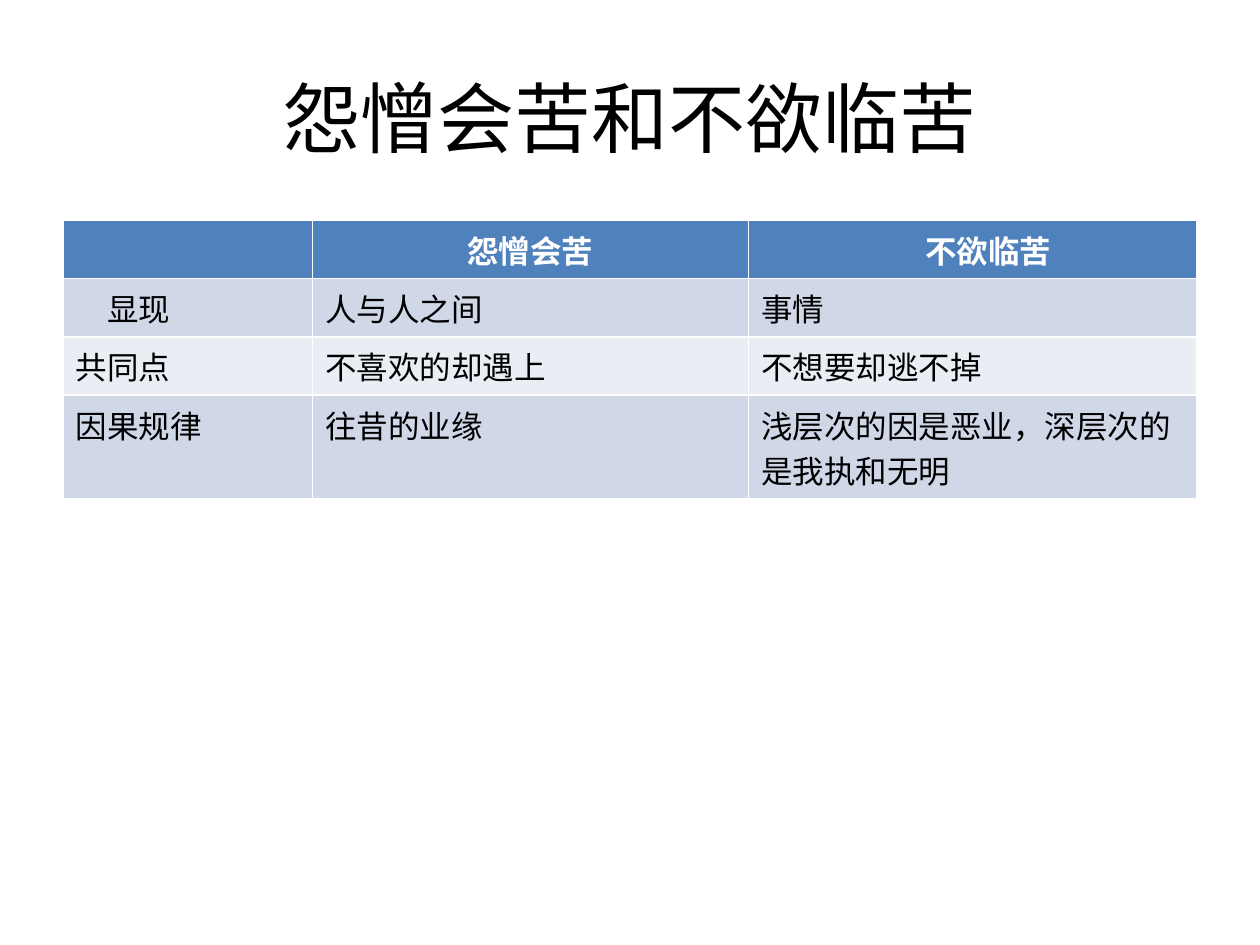
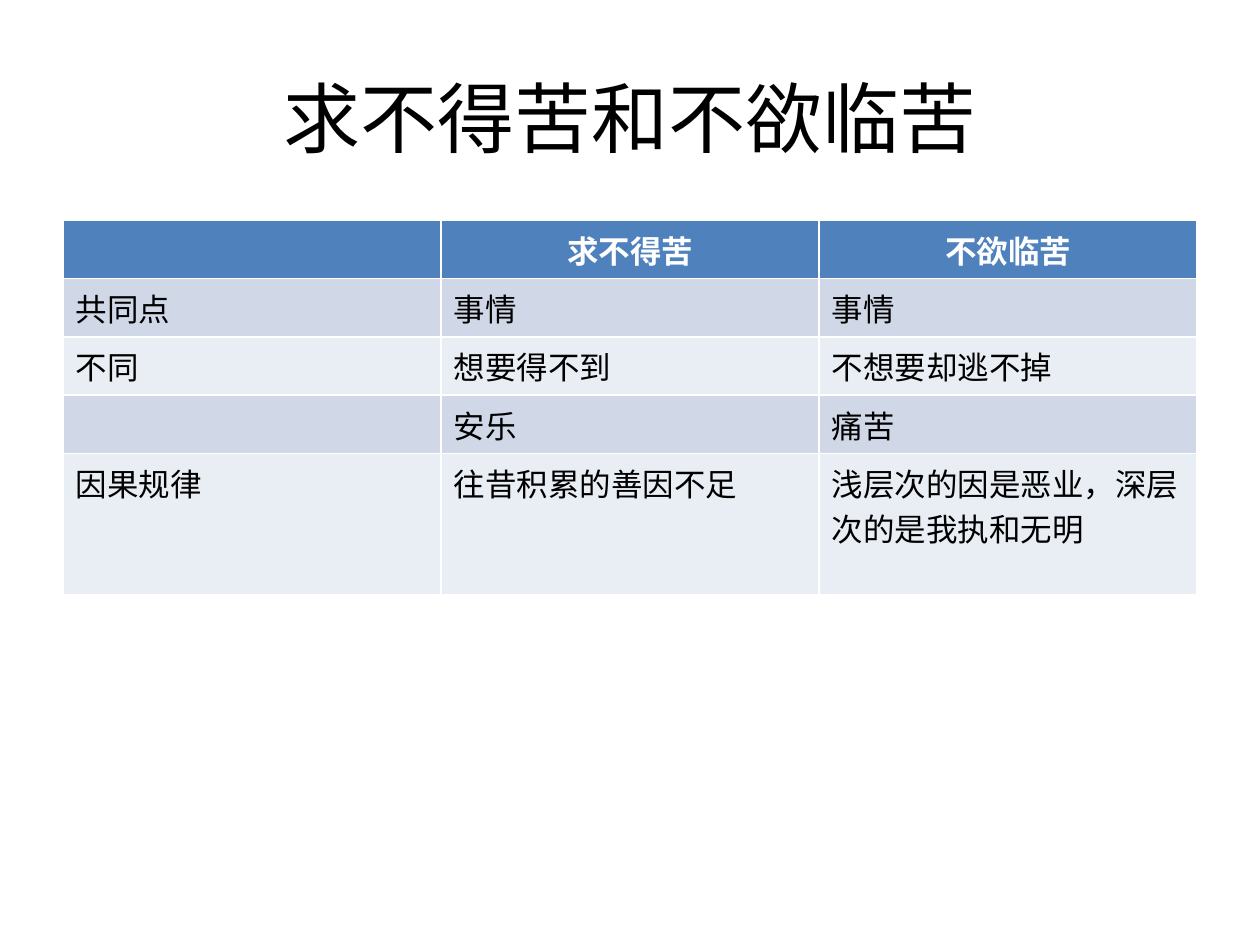
from dataclasses import dataclass

from pptx import Presentation
from pptx.dml.color import RGBColor
from pptx.enum.text import MSO_ANCHOR, PP_ALIGN
from pptx.slide import Slide
from pptx.table import _Cell
from pptx.text.text import _Paragraph
from pptx.util import Inches, Pt

FONT = "Calibri"
COLOURS = {
    "text": "000000",
    "header_text": "FFFFFF",
    "header": "4F81BD",
    "odd_band": "D0D8E8",
    "even_band": "E9EDF4",
}
LEFT, TABLE_TOP, WIDTH = 0.5, 1.75, 9
ROW_HEIGHT = 0.41
INDENT = Inches(0.25)


@dataclass(frozen=True)
class Comparison:
    title: str
    column_widths: tuple[float, ...]
    last_row_height: float
    rows: tuple[tuple[str, ...], ...]
    indented: tuple[tuple[int, int], ...] = ()


DEEP_CAUSE = "浅层次的因是恶业，深层次的是我执和无明"
COMPARISONS = (
    Comparison(
        "怨憎会苦和不欲临苦",
        (1.98, 3.46, 3.56),
        0.69,
        (
            ("", "怨憎会苦", "不欲临苦"),
            ("显现", "人与人之间", "事情"),
            ("共同点", "不喜欢的却遇上", "不想要却逃不掉"),
            ("因果规律", "往昔的业缘", DEEP_CAUSE),
        ),
        indented=((0, 2), (1, 0)),
    ),
    Comparison(
        "求不得苦和不欲临苦",
        (3, 3, 3),
        1.12,
        (
            ("", "求不得苦", "不欲临苦"),
            ("共同点", "事情", "事情"),
            ("不同", "想要得不到", "不想要却逃不掉"),
            ("", "安乐", "痛苦"),
            ("因果规律", "往昔积累的善因不足", DEEP_CAUSE),
        ),
    ),
)


def add_run(paragraph: _Paragraph, text: str, size: int, colour: str, bold: bool = False) -> None:
    run = paragraph.add_run()
    run.text = text
    run.font.name = FONT
    run.font.size = Pt(size)
    run.font.bold = bold
    run.font.color.rgb = RGBColor.from_string(COLOURS[colour])


def add_title(slide: Slide, text: str) -> None:
    title = slide.shapes.title
    title.left, title.top = Inches(LEFT), Inches(0.3)
    title.width, title.height = Inches(WIDTH), Inches(1.25)
    title.text_frame.vertical_anchor = MSO_ANCHOR.MIDDLE
    paragraph = title.text_frame.paragraphs[0]
    paragraph.alignment = PP_ALIGN.CENTER
    add_run(paragraph, text, 44, "text")


def fill_cell(cell: _Cell, text: str, row: int, indented: bool) -> None:
    is_header = row == 0
    band = "header" if is_header else "odd_band" if row % 2 else "even_band"
    cell.fill.solid()
    cell.fill.fore_color.rgb = RGBColor.from_string(COLOURS[band])
    paragraph = cell.text_frame.paragraphs[0]
    paragraph.alignment = PP_ALIGN.CENTER if is_header else PP_ALIGN.LEFT
    if indented:
        paragraph._p.get_or_add_pPr().set("marL", str(INDENT))
    if text:
        add_run(paragraph, text, 18, "header_text" if is_header else "text", is_header)


def add_comparison_table(slide: Slide, comparison: Comparison) -> None:
    """Add the table; white rules come from the default table style."""
    row_count = len(comparison.rows)
    table = slide.shapes.add_table(
        row_count,
        len(comparison.column_widths),
        Inches(LEFT),
        Inches(TABLE_TOP),
        Inches(WIDTH),
        Inches(ROW_HEIGHT * row_count),
    ).table
    for column, width in zip(table.columns, comparison.column_widths):
        column.width = Inches(width)
    for row in table.rows:
        row.height = Inches(ROW_HEIGHT)
    table.rows[row_count - 1].height = Inches(comparison.last_row_height)
    for row, texts in enumerate(comparison.rows):
        for column, text in enumerate(texts):
            fill_cell(table.cell(row, column), text, row, (row, column) in comparison.indented)


def main() -> None:
    presentation = Presentation()
    presentation.slide_width, presentation.slide_height = Inches(10), Inches(7.5)
    title_only = presentation.slide_layouts.get_by_name("Title Only")
    for comparison in COMPARISONS:
        slide = presentation.slides.add_slide(title_only)
        add_title(slide, comparison.title)
        add_comparison_table(slide, comparison)
    presentation.save("out.pptx")


if __name__ == "__main__":
    main()
